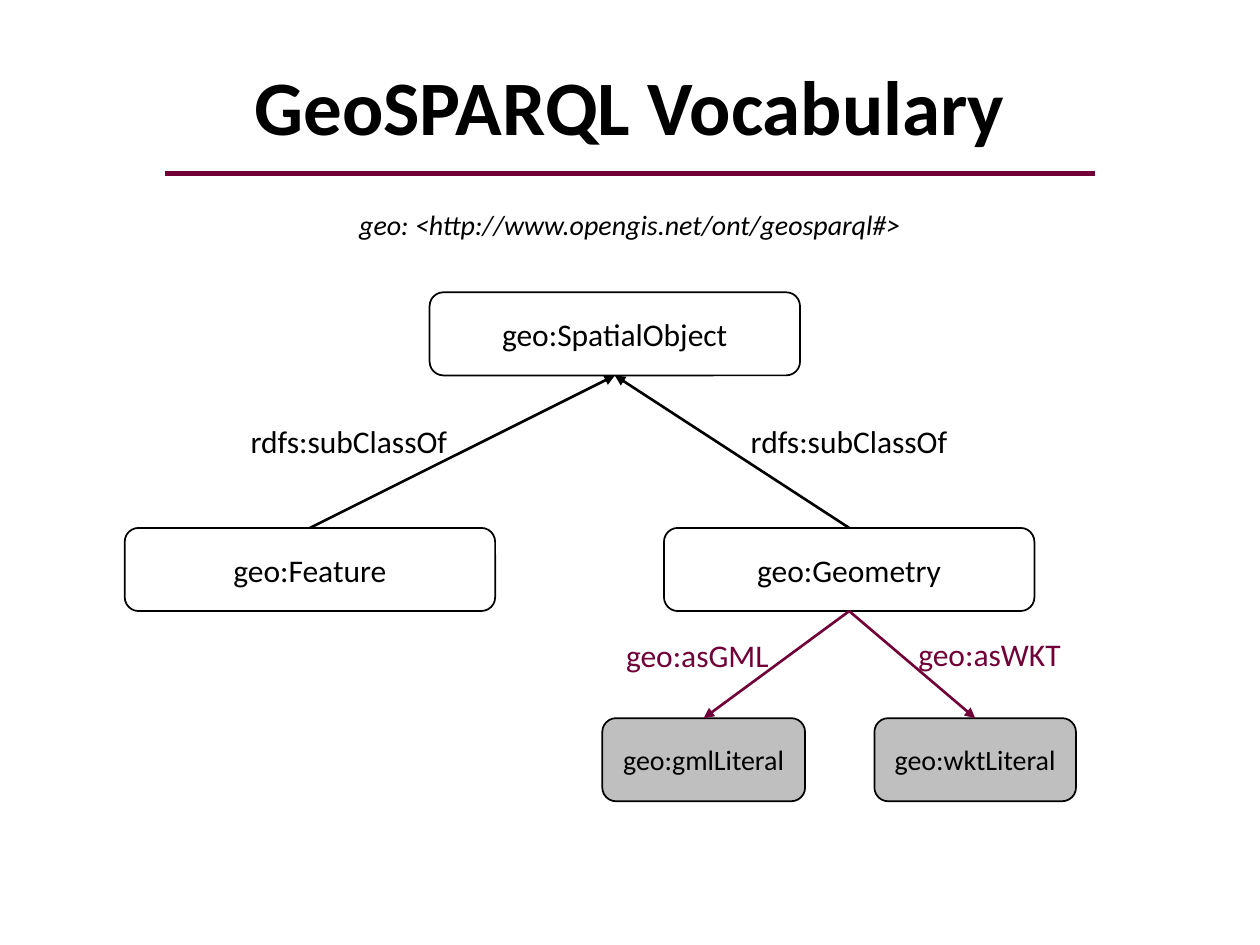
"""Build a slide that shows the GeoSPARQL class hierarchy."""
import pptx
import pptx.dml.color
import pptx.enum.shapes
import pptx.enum.text
import pptx.oxml
import pptx.oxml.ns
import pptx.util

Inches = pptx.util.Inches
Pt = pptx.util.Pt
RGBColor = pptx.dml.color.RGBColor
Align = pptx.enum.text.PP_ALIGN
Anchor = pptx.enum.text.MSO_ANCHOR

BLACK = RGBColor(0x00, 0x00, 0x00)
WHITE = RGBColor(0xFF, 0xFF, 0xFF)
GRAY = RGBColor(0xBF, 0xBF, 0xBF)
MAROON = RGBColor(0x70, 0x00, 0x37)
TOP, BOTTOM = 0, 2


def write_text(shape, text, frame_format, paragraph_format, font_format, color=BLACK):
    frame = shape.text_frame
    paragraph = frame.paragraphs[0]
    run = paragraph.add_run()
    run.text = text
    run.font.color.rgb = color
    for target, values in (
        (frame, frame_format),
        (paragraph, paragraph_format),
        (run.font, {"name": "Calibri", **font_format}),
    ):
        for name, value in values.items():
            setattr(target, name, value)


def add_line(start, end, color, width):
    line = slide.shapes.add_connector(
        pptx.enum.shapes.MSO_CONNECTOR.STRAIGHT, *map(Inches, start + end)
    )
    line.line.color.rgb = color
    line.line.width = Pt(width)
    properties = line._element.spPr
    properties.append(pptx.oxml.parse_xml(f"<a:effectLst {pptx.oxml.ns.nsdecls('a')}/>"))
    return line


presentation = pptx.Presentation()
presentation.slide_width = Inches(10)
presentation.slide_height = Inches(7.5)
slide = presentation.slides.add_slide(presentation.slide_layouts[6])

add_line((1.31, 1.38), (8.69, 1.38), MAROON, 3)

title = slide.shapes.add_textbox(Inches(0.69), Inches(0.15), Inches(8.62), Inches(1.45))
write_text(
    title,
    "GeoSPARQL Vocabulary",
    {"word_wrap": True, "vertical_anchor": Anchor.MIDDLE},
    {"alignment": Align.CENTER, "line_spacing": 0.9},
    {"size": Pt(44), "bold": True},
)

namespace = slide.shapes.add_textbox(Inches(0.31), Inches(1.6), Inches(9.38), Inches(0.37))
write_text(
    namespace,
    "geo: <http://www.opengis.net/ont/geosparql#>",
    {"word_wrap": True},
    {"alignment": Align.CENTER},
    {"size": Pt(16), "italic": True},
)

boxes = {}
for name, left, top, width, fill, size in (
    ("geo:SpatialObject", 3.41, 2.32, 2.94, WHITE, 18),
    ("geo:Feature", 0.99, 4.19, 2.94, WHITE, 18),
    ("geo:Geometry", 5.27, 4.19, 2.94, WHITE, 18),
    ("geo:gmlLiteral", 4.78, 5.7, 1.61, GRAY, 16),
    ("geo:wktLiteral", 6.94, 5.7, 1.6, GRAY, 16),
):
    box = slide.shapes.add_shape(
        pptx.enum.shapes.MSO_SHAPE.ROUNDED_RECTANGLE,
        Inches(left), Inches(top), Inches(width), Inches(0.66),
    )
    box.shadow.inherit = False
    box.fill.solid()
    box.fill.fore_color.rgb = fill
    box.line.color.rgb = BLACK
    box.line.width = Pt(1)
    write_text(
        box,
        name,
        {"word_wrap": True, "vertical_anchor": Anchor.MIDDLE},
        {"alignment": Align.CENTER},
        {"size": Pt(size)},
    )
    boxes[name] = box

for source, source_site, target, target_site, color, label, left, top, width in (
    ("geo:Feature", TOP, "geo:SpatialObject", BOTTOM, BLACK, "rdfs:subClassOf", 1.89, 3.3, 1.78),
    ("geo:Geometry", TOP, "geo:SpatialObject", BOTTOM, BLACK, "rdfs:subClassOf", 5.86, 3.3, 1.78),
    ("geo:Geometry", BOTTOM, "geo:gmlLiteral", TOP, MAROON, "geo:asGML", 4.87, 5, 1.35),
    ("geo:Geometry", BOTTOM, "geo:wktLiteral", TOP, MAROON, "geo:asWKT", 7.19, 4.99, 1.34),
):
    arrow = add_line((0, 0), (1, 1), color, 1.5)
    arrow.begin_connect(boxes[source], source_site)
    arrow.end_connect(boxes[target], target_site)
    arrow.line._get_or_add_ln().append(
        pptx.oxml.parse_xml(f'<a:tailEnd {pptx.oxml.ns.nsdecls("a")} type="triangle"/>')
    )
    caption = slide.shapes.add_textbox(Inches(left), Inches(top), Inches(width), Inches(0.4))
    write_text(
        caption,
        label,
        {"word_wrap": False, "auto_size": pptx.enum.text.MSO_AUTO_SIZE.SHAPE_TO_FIT_TEXT},
        {"alignment": Align.LEFT},
        {"size": Pt(18)},
        color,
    )

presentation.save("out.pptx")
